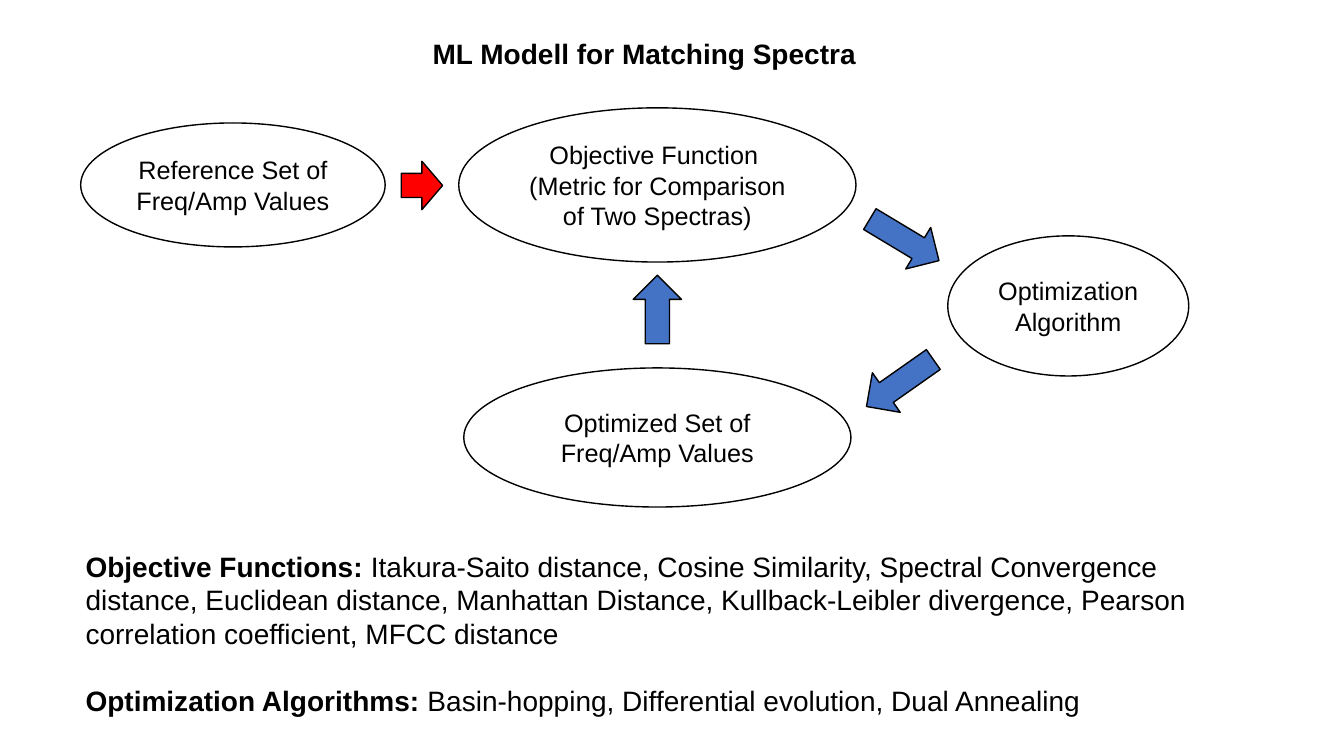
from pptx import Presentation
from pptx.dml.color import RGBColor
from pptx.enum.shapes import MSO_SHAPE
from pptx.enum.text import MSO_ANCHOR, PP_ALIGN
from pptx.util import Inches, Pt

BLACK, WHITE, RED, BLUE = "000000", "FFFFFF", "FF0000", "4472C4"


def write(shape, paragraphs, size, alignment, anchor):
    """Fill a shape with paragraphs, each a list of (text, bold) runs."""
    frame = shape.text_frame
    frame.word_wrap = True
    frame.vertical_anchor = anchor
    for index, runs in enumerate(paragraphs):
        paragraph = frame.add_paragraph() if index else frame.paragraphs[0]
        paragraph.alignment = alignment
        for text, bold in runs:
            run = paragraph.add_run()
            run.text = text
            run.font.color.rgb = RGBColor.from_string(BLACK)
            font_format = {"name": "Arial", "size": Pt(size), "bold": bold}
            for name, value in font_format.items():
                setattr(run.font, name, value)


def add_outlined(kind, box, fill):
    shape = slide.shapes.add_shape(kind, *map(Inches, box))
    shape.shadow.inherit = False
    shape.fill.solid()
    shape.fill.fore_color.rgb = RGBColor.from_string(fill)
    shape.line.color.rgb = RGBColor.from_string(BLACK)
    shape.line.width = Pt(1)
    return shape


presentation = Presentation()
presentation.slide_width = Inches(13.33)
presentation.slide_height = Inches(7.5)
slide = presentation.slides.add_slide(presentation.slide_layouts[5])

# Title
title = slide.shapes.title
title_box = {"left": 4.19, "top": 0.31, "width": 4.59, "height": 0.44}
for name, value in title_box.items():
    setattr(title, name, Inches(value))
write(title, [[("ML Modell for Matching Spectra", True)]], 20, PP_ALIGN.LEFT, MSO_ANCHOR.TOP)

# Stages of the loop
stages = [
    ((0.8, 1.22, 3.02, 1.23), ["Reference Set of Freq/Amp Values"]),
    ((4.55, 1.07, 3.94, 1.53), ["Objective Function ", "(Metric for Comparison of Two Spectras)"]),
    ((9.4, 2.34, 2.39, 1.39), ["Optimization Algorithm"]),
    ((4.6, 3.65, 3.84, 1.38), ["Optimized Set of Freq/Amp Values"]),
]
for box, lines in stages:
    stage = add_outlined(MSO_SHAPE.OVAL, box, WHITE)
    write(stage, [[(line, False)] for line in lines], 18, PP_ALIGN.CENTER, MSO_ANCHOR.MIDDLE)

# Arrows between stages: left, top, width, rotation, fill
arrows = [
    (3.98, 1.6, 0.41, 0, RED),
    (8.57, 2.14, 0.8, 31, BLUE),
    (6.18, 2.83, 0.68, 270, BLUE),
    (8.52, 3.56, 0.81, 144.9, BLUE),
]
for left, top, width, rotation, fill in arrows:
    arrow = add_outlined(MSO_SHAPE.RIGHT_ARROW, (left, top, width, 0.48), fill)
    arrow.rotation = rotation

# Lists of methods
methods = [
    [
        ("Objective Functions: ", True),
        ("Itakura-Saito distance, Cosine Similarity, Spectral Convergence distance, "
         "Euclidean distance, Manhattan Distance, Kullback-Leibler divergence, "
         "Pearson correlation coefficient, MFCC distance", False),
    ],
    [
        ("Optimization Algorithms: ", True),
        ("Basin-hopping, Differential evolution, Dual Annealing", False),
    ],
]
methods_box = slide.shapes.add_textbox(*map(Inches, (0.75, 5.39, 11.61, 1.78)))
write(methods_box, methods, 20, PP_ALIGN.LEFT, MSO_ANCHOR.MIDDLE)
methods_box.text_frame.paragraphs[1].space_before = Pt(24)

presentation.save("out.pptx")
